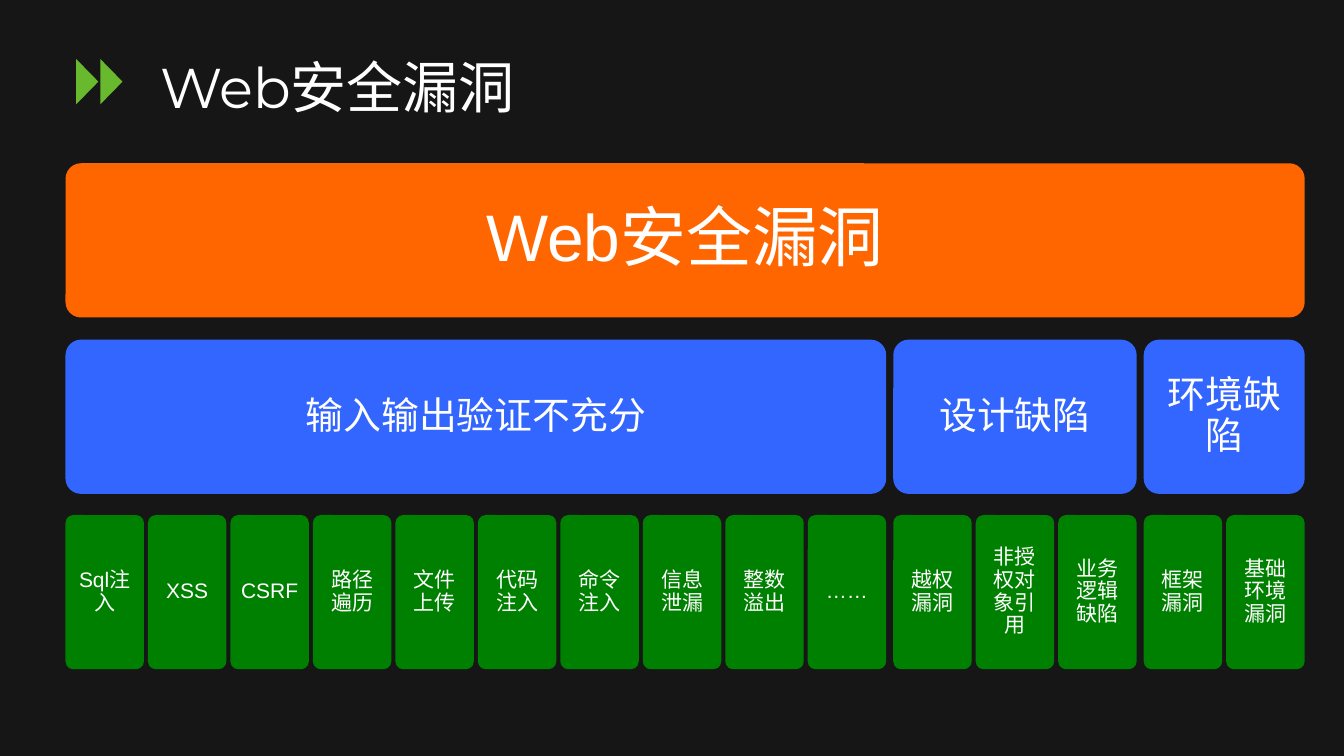
from pptx import Presentation
from pptx.dml.color import RGBColor
from pptx.enum.shapes import MSO_SHAPE
from pptx.enum.text import MSO_ANCHOR, PP_ALIGN
from pptx.util import Inches, Pt

TRIANGLE = MSO_SHAPE.ISOSCELES_TRIANGLE
ROUNDED = MSO_SHAPE.ROUNDED_RECTANGLE
MIDDLE = MSO_ANCHOR.MIDDLE
LEFT, CENTER = PP_ALIGN.LEFT, PP_ALIGN.CENTER

COLORS = {
    "background": "161616",
    "text": "FFFFFF",
    "marker": "68B92E",
    "root": "FF6600",
    "category": "3366FF",
    "leaf": "008000",
}

TITLE = "Web安全漏洞"
CATEGORIES = [
    ("输入输出验证不充分", ["Sql注入", "XSS", "CSRF", "路径遍历", "文件上传", "代码注入",
                   "命令注入", "信息泄漏", "整数溢出", "……"]),
    ("设计缺陷", ["越权漏洞", "非授权对象引用", "业务逻辑缺陷"]),
    ("环境缺陷", ["框架漏洞", "基础环境漏洞"]),
]

# Diagram grid, in inches
DIAGRAM_LEFT, DIAGRAM_WIDTH = 0.65, 12.29
ROOT_TOP, CATEGORY_TOP, LEAF_TOP = 1.62, 3.37, 5.11
CARD_HEIGHT = 1.53
LEAF_GAP, CATEGORY_GAP = 0.04, 0.07


class SlideBuilder:
    """Holds the style and the current slide."""

    def __init__(self, slide):
        self.slide = slide
        fill = slide.background.fill
        fill.solid()
        fill.fore_color.rgb = self.color("background")

    def color(self, name):
        return RGBColor.from_string(COLORS[name])

    def shape(self, kind, left, top, width, height, color):
        shape = self.slide.shapes.add_shape(
            kind, Inches(left), Inches(top), Inches(width), Inches(height))
        shape.shadow.inherit = False
        shape.fill.solid()
        shape.fill.fore_color.rgb = self.color(color)
        shape.line.fill.background()
        return shape

    def set_text(self, frame, text, size, font, align):
        frame.word_wrap = True
        frame.vertical_anchor = MIDDLE
        frame.text = text
        para = frame.paragraphs[0]
        para.alignment = align
        para.line_spacing = 0.9
        span = para.runs[0]
        span.font.size = Pt(size)
        span.font.name = font
        span.font.color.rgb = self.color("text")

    def title(self, text, left, top, width, height):
        box = self.slide.shapes.add_textbox(
            Inches(left), Inches(top), Inches(width), Inches(height))
        self.set_text(box.text_frame, text, 40, "Montserrat", LEFT)

    def marker(self, left):
        triangle = self.shape(TRIANGLE, left, 0.7, 0.45, 0.22, "marker")
        triangle.rotation = 90

    def card(self, text, left, top, width, color, size, inset):
        card = self.shape(ROUNDED, left, top, width, CARD_HEIGHT, color)
        card.adjustments[0] = 0.1
        frame = card.text_frame
        frame.margin_left = frame.margin_right = Inches(inset)
        frame.margin_top = frame.margin_bottom = Inches(inset)
        self.set_text(frame, text, size, "Arial", CENTER)


def main():
    deck = Presentation()
    deck.slide_width, deck.slide_height = Inches(13.33), Inches(7.5)
    page = SlideBuilder(deck.slides.add_slide(deck.slide_layouts[6]))

    # Heading with its double arrow
    for left in (0.88, 0.64):
        page.marker(left)
    page.title(TITLE, 1.49, 0.17, 10.26, 1.45)

    # Root of the hierarchy
    page.card(TITLE, DIAGRAM_LEFT, ROOT_TOP, DIAGRAM_WIDTH, "root", 47, 0.2)

    # All leaves share one width; each category spans its leaves
    leaf_count = sum(len(leaves) for _, leaves in CATEGORIES)
    category_gaps = len(CATEGORIES) - 1
    leaf_gaps = leaf_count - len(CATEGORIES)
    leaf_width = (DIAGRAM_WIDTH - category_gaps * CATEGORY_GAP
                  - leaf_gaps * LEAF_GAP) / leaf_count
    pitch = leaf_width + LEAF_GAP

    left = DIAGRAM_LEFT
    for category, leaves in CATEGORIES:
        width = len(leaves) * pitch - LEAF_GAP
        page.card(category, left, CATEGORY_TOP, width, "category", 27, 0.11)
        for index, leaf in enumerate(leaves):
            page.card(leaf, left + index * pitch, LEAF_TOP, leaf_width, "leaf", 15, 0.06)
        left += width + CATEGORY_GAP

    deck.save("out.pptx")


if __name__ == "__main__":
    main()
